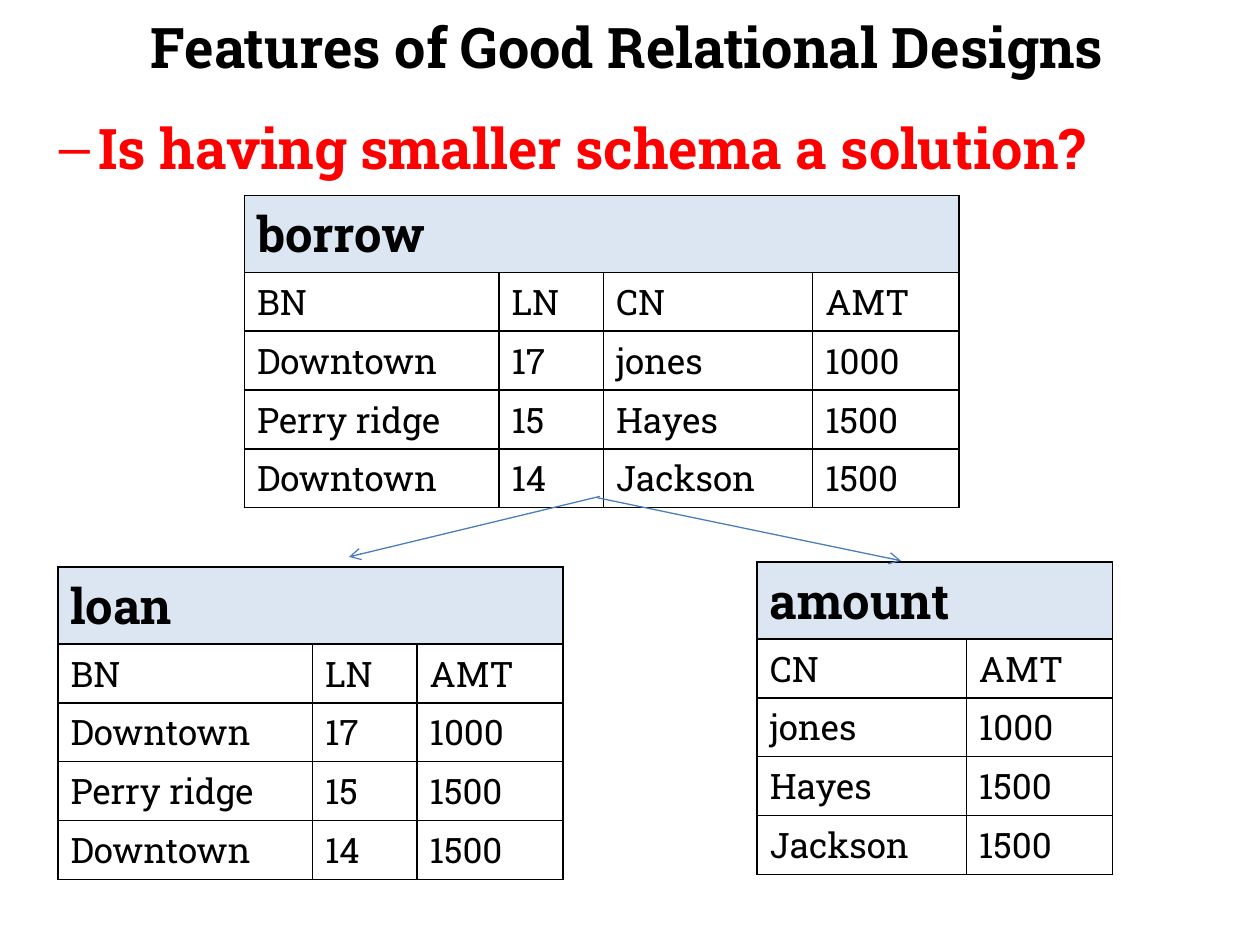
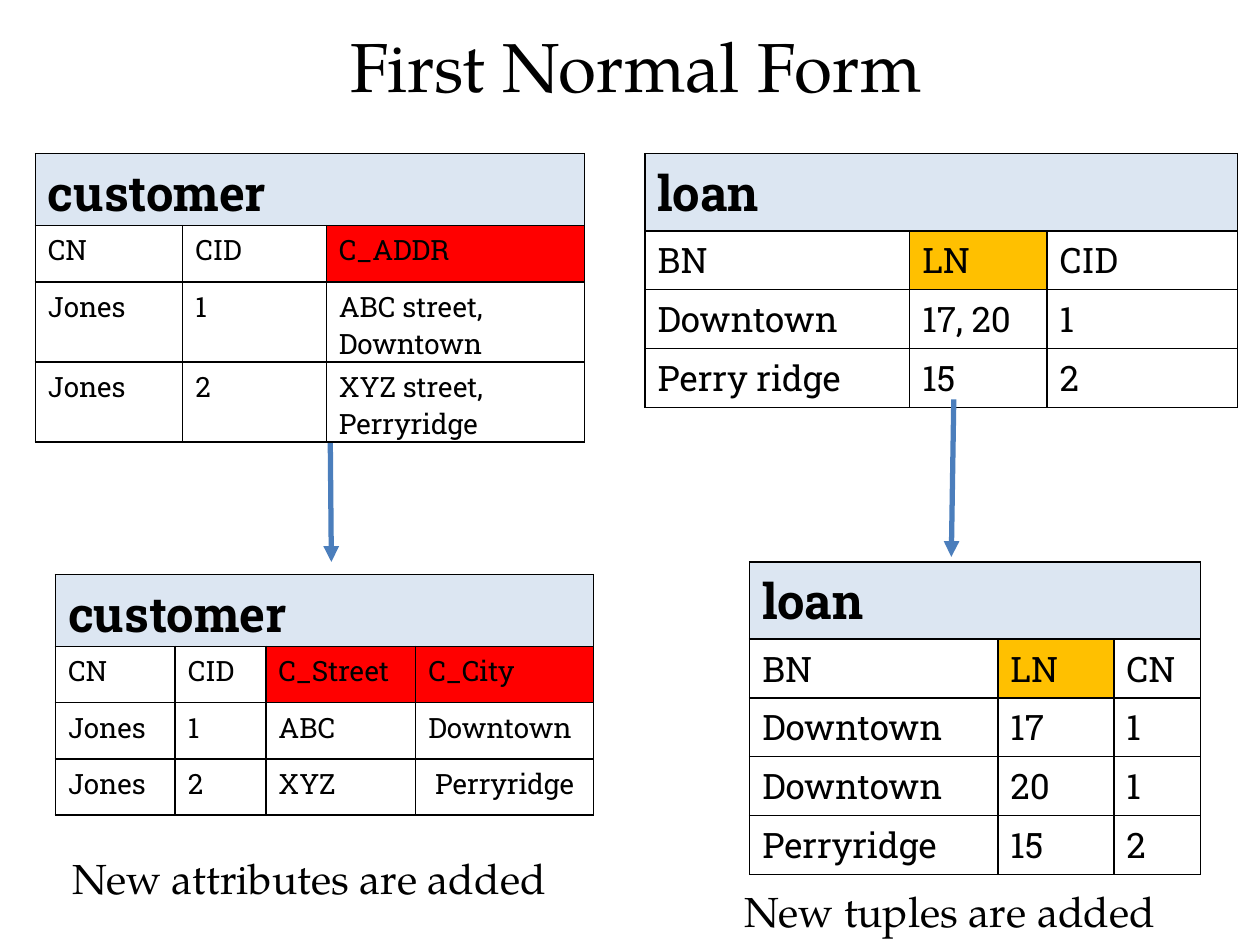
from dataclasses import dataclass

from lxml import etree
from pptx import Presentation
from pptx.dml.color import RGBColor
from pptx.enum.shapes import MSO_CONNECTOR
from pptx.enum.text import MSO_ANCHOR, MSO_AUTO_SIZE, PP_ALIGN
from pptx.oxml.ns import qn
from pptx.util import Inches, Pt

LEFT, CENTER, JUSTIFY = PP_ALIGN.LEFT, PP_ALIGN.CENTER, PP_ALIGN.JUSTIFY
TOP, MIDDLE = MSO_ANCHOR.TOP, MSO_ANCHOR.MIDDLE
FIT_SHAPE = MSO_AUTO_SIZE.SHAPE_TO_FIT_TEXT
STRAIGHT = MSO_CONNECTOR.STRAIGHT
GRID_COLUMNS, GRID_ROWS = 100, 75
BLANK_LAYOUT = 6


@dataclass(frozen=True)
class TableStyle:
    size: float
    header: float
    row: float
    bottom: float


@dataclass(frozen=True)
class Theme:
    slab: str = "Roboto Slab"
    serif: str = "TeX Gyre Pagella"
    ink: str = "000000"
    paper: str = "FFFFFF"
    band: str = "DCE6F2"
    red: str = "FF0000"
    amber: str = "FFC000"
    arrow: str = "4B7EBC"
    bold_title: float = 32
    serif_title: float = 39.6
    relation: float = 28
    caption: float = 24
    border: float = 1
    thin_arrow: float = 0.75
    thick_arrow: float = 3
    cell_margin: float = 0.5
    large: TableStyle = TableStyle(20, 6.12, 4.67, 0.5)
    small: TableStyle = TableStyle(16, 5.7, 4.47, 0)
    wrapped: TableStyle = TableStyle(16, 5.7, 6.36, 0)


THEME = Theme()


def grid(units):
    return Inches(units / 10)


def color(code):
    return RGBColor.from_string(code)


def add_span(para, text, font, size, ink=THEME.ink, bold=False):
    span = para.add_run()
    span.text = text
    span.font.name = font
    span.font.size = Pt(size)
    span.font.bold = bold
    span.font.color.rgb = color(ink)


def add_text(page, area, text, font, size, ink=THEME.ink, bold=False,
             align=CENTER, anchor=MIDDLE):
    box = page.shapes.add_textbox(*map(grid, area))
    frame = box.text_frame
    frame.word_wrap = True
    frame.vertical_anchor = anchor
    para = frame.paragraphs[0]
    para.alignment = align
    add_span(para, text, font, size, ink, bold)
    return box


def add_question(page, area, text):
    box = add_text(page, area, text, THEME.slab, THEME.bold_title,
                   THEME.red, True, JUSTIFY, TOP)
    properties = box.text_frame.paragraphs[0]._p.get_or_add_pPr()
    indent = Inches(0.31)
    properties.set("marL", str(indent))
    properties.set("indent", str(-indent))
    etree.SubElement(properties, qn("a:buFont"), typeface="Arial")
    etree.SubElement(properties, qn("a:buChar"), char="–")


def add_caption(page, area, text):
    frame = add_text(page, area, text, THEME.serif, THEME.caption,
                     anchor=TOP).text_frame
    frame.word_wrap = False
    frame.auto_size = FIT_SHAPE


def add_borders(cell):
    properties = cell._tc.get_or_add_tcPr()
    for side in ("lnL", "lnR", "lnT", "lnB"):
        line = etree.SubElement(properties, qn(f"a:{side}"),
                                w=str(Pt(THEME.border)))
        fill = etree.SubElement(line, qn("a:solidFill"))
        etree.SubElement(fill, qn("a:srgbClr"), val=THEME.ink)


def fill_cell(cell, text, size, fill, bold, bottom):
    add_borders(cell)
    cell.fill.solid()
    cell.fill.fore_color.rgb = color(fill)
    cell.margin_top = grid(THEME.cell_margin)
    cell.margin_bottom = grid(bottom)
    if text:
        para = cell.text_frame.paragraphs[0]
        para.alignment = LEFT
        add_span(para, text, THEME.slab, size, bold=bold)


def add_relation(page, name, corner, widths, records, style=THEME.large,
                 marked=(), mark=THEME.paper):
    body = THEME.small.row if style is THEME.wrapped else style.row
    heights = [style.header, body] + [style.row] * (len(records) - 1)
    left, top = corner
    frame = page.shapes.add_table(len(heights), len(widths), grid(left), grid(top),
                                  grid(sum(widths)), grid(sum(heights)))
    table = frame.table
    table.first_row = table.horz_banding = False
    for column, width in zip(table.columns, widths):
        column.width = grid(width)
    for row, height in zip(table.rows, heights):
        row.height = grid(height)
    table.cell(0, 0).merge(table.cell(0, len(widths) - 1))
    for index in range(len(widths)):
        fill_cell(table.cell(0, index), "" if index else name,
                  THEME.relation, THEME.band, True, style.bottom)
    for row, record in enumerate(records, 1):
        for index, value in enumerate(record):
            fill = mark if row == 1 and value in marked else THEME.paper
            fill_cell(table.cell(row, index), value, style.size, fill, False,
                      style.bottom)


def add_arrow(page, start, end, width, head):
    arrow = page.shapes.add_connector(STRAIGHT, *map(grid, start + end))
    arrow.line.color.rgb = color(THEME.arrow)
    arrow.line.width = Pt(width)
    properties = arrow._element.spPr
    etree.SubElement(properties.find(qn("a:ln")), qn("a:tailEnd"), type=head)
    etree.SubElement(properties, qn("a:effectLst"))


def pick(records, *indexes):
    return [[record[index] for index in indexes] for record in records]


def build_decomposition(page):
    borrow = [("BN", "LN", "CN", "AMT"),
              ("Downtown", "17", "jones", "1000"),
              ("Perry ridge", "15", "Hayes", "1500"),
              ("Downtown", "14", "Jackson", "1500")]
    branch, loan, customer, amount = widths = (20.2, 8.3, 16.6, 11.6)
    add_text(page, (4.8, 0, 90, 7.3), "Features of Good Relational Designs",
             THEME.slab, THEME.bold_title, bold=True)
    add_question(page, (3.7, 8.5, 91.6, 62.3),
                 "Is having smaller schema a solution?")
    add_relation(page, "borrow", (19.4, 15.5), widths, borrow)
    add_relation(page, "loan", (4.6, 45), (branch, loan, amount),
                 pick(borrow, 0, 1, 3))
    add_relation(page, "amount", (60.1, 44.6), (customer, amount),
                 pick(borrow, 2, 3))
    add_arrow(page, (47.6, 39.4), (27.7, 44.2), THEME.thin_arrow, "arrow")
    add_arrow(page, (47.4, 39.5), (71.5, 44.5), THEME.thin_arrow, "arrow")


def build_first_normal_form(page):
    add_text(page, (7, 1.8, 88.3, 6.7), "First Normal Form ",
             THEME.serif, THEME.serif_title)
    add_relation(page, "loan", (51.2, 12.2), (21, 10.9, 15.1),
                 [("BN", "LN", "CID"),
                  ("Downtown", "17, 20", "1"),
                  ("Perry ridge", "15", "2")],
                 marked=("LN",), mark=THEME.amber)
    add_relation(page, "loan", (59.5, 44.6), (19.7, 9.2, 6.9),
                 [("BN", "LN", "CN"),
                  ("Downtown", "17", "1"),
                  ("Downtown", "20", "1"),
                  ("Perryridge", "15", "2")],
                 marked=("LN",), mark=THEME.amber)
    add_arrow(page, (26.2, 33.3), (26.3, 44.6), THEME.thick_arrow, "triangle")
    add_arrow(page, (75.7, 31.7), (75.5, 44.2), THEME.thick_arrow, "triangle")
    add_caption(page, (4.5, 67.2, 40.1, 5), "New attributes are added")
    add_caption(page, (57.9, 69.8, 35, 5), "New tuples are added")
    add_relation(page, "customer", (2.8, 12.2), (11.7, 11.4, 20.5),
                 [("CN", "CID", "C_ADDR"),
                  ("Jones", "1", "ABC street, Downtown"),
                  ("Jones", "2", "XYZ street, Perryridge")],
                 THEME.wrapped, ("C_ADDR",), THEME.red)
    add_relation(page, "customer", (4.4, 45.6), (9.5, 7.2, 11.9, 14.1),
                 [("CN", "CID", "C_Street", "C_City"),
                  ("Jones", "1", "ABC", "Downtown"),
                  ("Jones", "2", "XYZ", " Perryridge")],
                 THEME.small, ("C_Street", "C_City"), THEME.red)


def main():
    deck = Presentation()
    deck.slide_width, deck.slide_height = grid(GRID_COLUMNS), grid(GRID_ROWS)
    for build in (build_decomposition, build_first_normal_form):
        build(deck.slides.add_slide(deck.slide_layouts[BLANK_LAYOUT]))
    deck.save("out.pptx")


if __name__ == "__main__":
    main()
